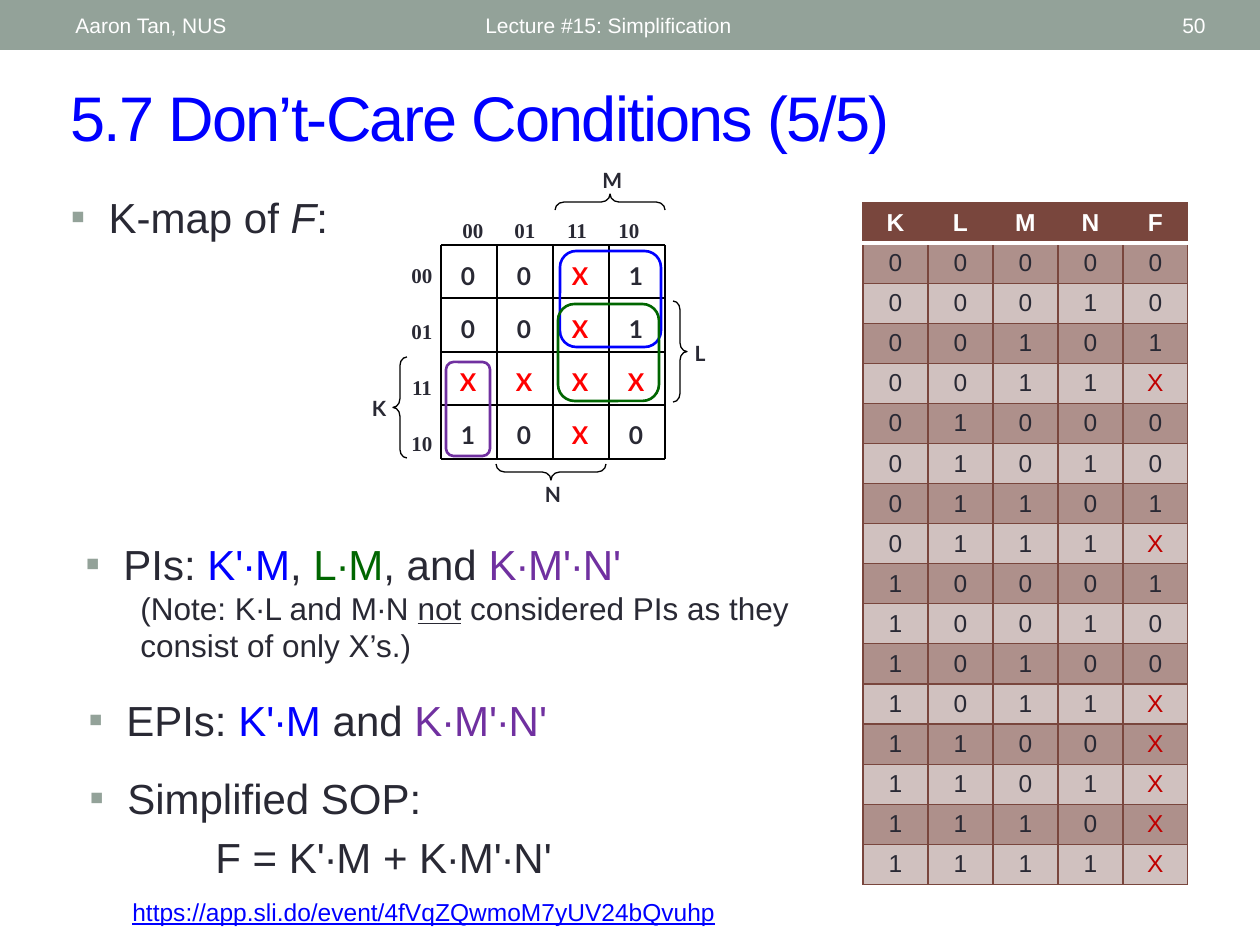
from lxml.etree import SubElement
from pptx import Presentation
from pptx.dml.color import RGBColor
from pptx.enum.shapes import MSO_CONNECTOR, MSO_SHAPE
from pptx.enum.text import MSO_ANCHOR, MSO_AUTO_SIZE, PP_ALIGN
from pptx.oxml.ns import qn
from pptx.util import Pt

ink = RGBColor.from_string
SCALE = 914400 / 126
DARK, BLUE, GREEN, PLUM, RED = "292934", "0000FF", "006600", "7030A0", "FF0000"
SAGE, BROWN, WHITE, BLACK = "93A299", "79463D", "FFFFFF", "000000"
LEFT, MID, RIGHT = PP_ALIGN.LEFT, PP_ALIGN.CENTER, PP_ALIGN.RIGHT


def emu(*sizes):
    return [round(size * SCALE) for size in sizes]


def write(para, text, size, hue=DARK, face="Arial", style=""):
    run = para.add_run()
    run.text = text
    font = run.font
    font.size, font.name = Pt(size), face
    font.color.rgb = ink(hue)
    font.bold = "b" in style
    font.italic = "i" in style
    font.underline = "u" in style
    return run


deck = Presentation()
deck.slide_width, deck.slide_height = emu(1260, 945)
slide = deck.slides.add_slide(deck.slide_layouts[1])
shapes = slide.shapes

band = shapes.add_shape(MSO_SHAPE.RECTANGLE, *emu(0, 0, 1260, 50))
band.shadow.inherit = False
band.fill.solid()
band.fill.fore_color.rgb = ink(SAGE)
band.line.fill.background()

title = shapes.title
title.left, title.top, title.width, title.height = emu(58, 72, 1143, 88)
frame = title.text_frame
frame.auto_size = MSO_AUTO_SIZE.NONE
frame.vertical_anchor = MSO_ANCHOR.MIDDLE
para = frame.paragraphs[0]
para.alignment = LEFT
run = write(para, "5.7 Don’t-Care Conditions (5/5)", 36, BLUE)
run.font._element.set("spc", "-100")

body = slide.placeholders[1]
body.left, body.top, body.width, body.height = emu(58, 185, 320, 77)
lists = [
    (body, [(38, True, 24, [("K-map of ", DARK, ""), ("F", DARK, "i"), (":", DARK, "")])]),
    ((73, 532, 751, 158), [
        (38, True, 24, [("PIs: ", DARK, ""), ("K'∙M", BLUE, ""), (", ", DARK, ""),
                        ("L∙M", GREEN, ""), (", and ", DARK, ""), ("K∙M'∙N'", PLUM, "")]),
        (55, False, 18, [("(Note: K∙L and M∙N ", DARK, ""), ("not", DARK, "u"),
                         (" considered PIs as they consist of only X’s.)", DARK, "")]),
    ]),
    ((76, 688, 717, 77), [
        (38, True, 24, [("EPIs: ", DARK, ""), ("K'∙M", BLUE, ""), (" and ", DARK, ""),
                        ("K∙M'∙N'", PLUM, "")]),
    ]),
    ((77, 766, 717, 117), [
        (38, True, 24, [("Simplified SOP:", DARK, "")]),
        (126, False, 24, [("F = K'∙M + K∙M'∙N'", DARK, "")]),
    ]),
]
for place, items in lists:
    box = place if place is body else shapes.add_textbox(*emu(*place))
    frame = box.text_frame
    frame.word_wrap = True
    frame.auto_size = MSO_AUTO_SIZE.NONE
    for num, (left, mark, size, runs) in enumerate(items):
        para = frame.add_paragraph() if num else frame.paragraphs[0]
        para.space_before = Pt(5 if num and size == 24 else 0)
        props = para._p.get_or_add_pPr()
        margin, hang = emu(left, -38 if mark else 0)
        props.set("marL", str(margin))
        props.set("indent", str(hang))
        if mark:
            tint = SubElement(props, qn("a:buClr"))
            SubElement(tint, qn("a:srgbClr")).set("val", SAGE)
            SubElement(props, qn("a:buFont")).set("typeface", "Arial")
            SubElement(props, qn("a:buChar")).set("char", "▪")
        else:
            SubElement(props, qn("a:buNone"))
        for text, hue, style in runs:
            write(para, text, size, hue, style=style)

table = shapes.add_table(17, 5, *emu(863, 203, 325, 682)).table
for col in table.columns:
    col.width = emu(65)[0]
for row in table.rows:
    row.height = emu(682 / 17)[0]
marks = "0001 001X 0010 001X".replace(" ", "")
marks = "001X001X100XXXXX"
lines = ["KLMNF"] + [f"{num:04b}{mark}" for num, mark in enumerate(marks)]
for high, line in enumerate(lines):
    for wide, text in enumerate(line):
        cell = table.cell(high, wide)
        cell.vertical_anchor = MSO_ANCHOR.MIDDLE
        cell.margin_top, cell.margin_bottom = emu(5, 5)
        cell.fill.solid()
        shade = BROWN if high == 0 else "AE908B" if high % 2 else "D0C1BF"
        cell.fill.fore_color.rgb = ink(shade)
        para = cell.text_frame.paragraphs[0]
        para.alignment = MID
        hue = WHITE if high == 0 else "C00000" if text == "X" else DARK
        write(para, text, 14, hue, style="" if high else "b")
        props = cell._tc.get_or_add_tcPr()
        for spot, side in enumerate(("lnL", "lnR", "lnT", "lnB")):
            rule = (side == "lnB" and high == 0) or (side == "lnT" and high == 1)
            edge = props.makeelement(qn("a:" + side), {"w": "26400" if rule else "9525"})
            fill = SubElement(edge, qn("a:solidFill"))
            SubElement(fill, qn("a:srgbClr")).set("val", WHITE if rule else BROWN)
            props.insert(spot, edge)

grid = [(441 + 56 * num, 245, 441 + 56 * num, 459) for num in range(5)]
grid += [(441, 245 + 107 * num // 2, 665, 245 + 107 * num // 2) for num in range(5)]
for ends in grid:
    line = shapes.add_connector(MSO_CONNECTOR.STRAIGHT, *emu(*ends))
    line.line.color.rgb = ink(BLACK)
    line.line.width = Pt(0.75)
    SubElement(line._element.spPr, qn("a:effectLst"))

BRACE, LOOP = MSO_SHAPE.LEFT_BRACE, MSO_SHAPE.ROUNDED_RECTANGLE
for kind, place, turn, bend, hue, width in [
    (BRACE, (393, 357, 14, 101), 0, 0.62, BLACK, 0.75),
    (BRACE, (602, 147, 16, 110), 90, 0.55, BLACK, 0.75),
    (BRACE, (543, 417, 16, 110), 270, 0.54, BLACK, 0.75),
    (BRACE, (673, 301, 14, 101), 180, 0.62, BLACK, 0.75),
    (LOOP, (560, 251, 101, 96), 0, 0.17, BLUE, 1.5),
    (LOOP, (446, 362, 44, 94), 0, 0.17, PLUM, 1.5),
    (LOOP, (558, 304, 101, 97), 0, 0.17, GREEN, 1.5),
]:
    shape = shapes.add_shape(kind, *emu(*place))
    shape.shadow.inherit = False
    shape.rotation = turn
    shape.adjustments[0] = bend
    shape.fill.background()
    shape.line.color.rgb = ink(hue)
    shape.line.width = Pt(width)

labels = [
    ((63, 3, 399, 45), "Aaron Tan, NUS", 12, WHITE, "Arial", "", LEFT),
    ((473, 3, 567, 45), "Lecture #15: Simplification", 12, WHITE, "Arial", "", LEFT),
    ((1099, 3, 119, 45), "50", 12, WHITE, "Arial", "", RIGHT),
    ((120, 890, 819, 43), "https://app.sli.do/event/4fVqZQwmoM7yUV24bQvuhp",
     14, BLUE, "Arial", "u", LEFT),
]
for text, left, top in [("K", 358, 387), ("M", 590, 159), ("N", 532, 473), ("L", 679, 332)]:
    labels.append(((left, top, 42, 43), text, 12, DARK, "Lato", "b", MID))
for num, text in enumerate(["00", "01", "11", "10"]):
    for place in [(447 + 52 * num, 209, 52, 43), (396, 254 + 56 * num, 52, 43)]:
        labels.append((place, text, 12, DARK, "Times New Roman", "b", MID))
for high, line in enumerate(["00X1", "00X1", "XXXX", "10X0"]):
    for wide, text in enumerate(line):
        place = (440 + 56 * wide, 254 + 53 * high, 56, 43)
        hue = RED if text == "X" else DARK
        labels.append((place, text, 14, hue, "Lato", "b", MID))
for place, text, size, hue, face, style, align in labels:
    frame = shapes.add_textbox(*emu(*place)).text_frame
    frame.word_wrap = True
    frame.vertical_anchor = MSO_ANCHOR.MIDDLE
    para = frame.paragraphs[0]
    para.alignment = align
    write(para, text, size, hue, face, style)

deck.save("out.pptx")
